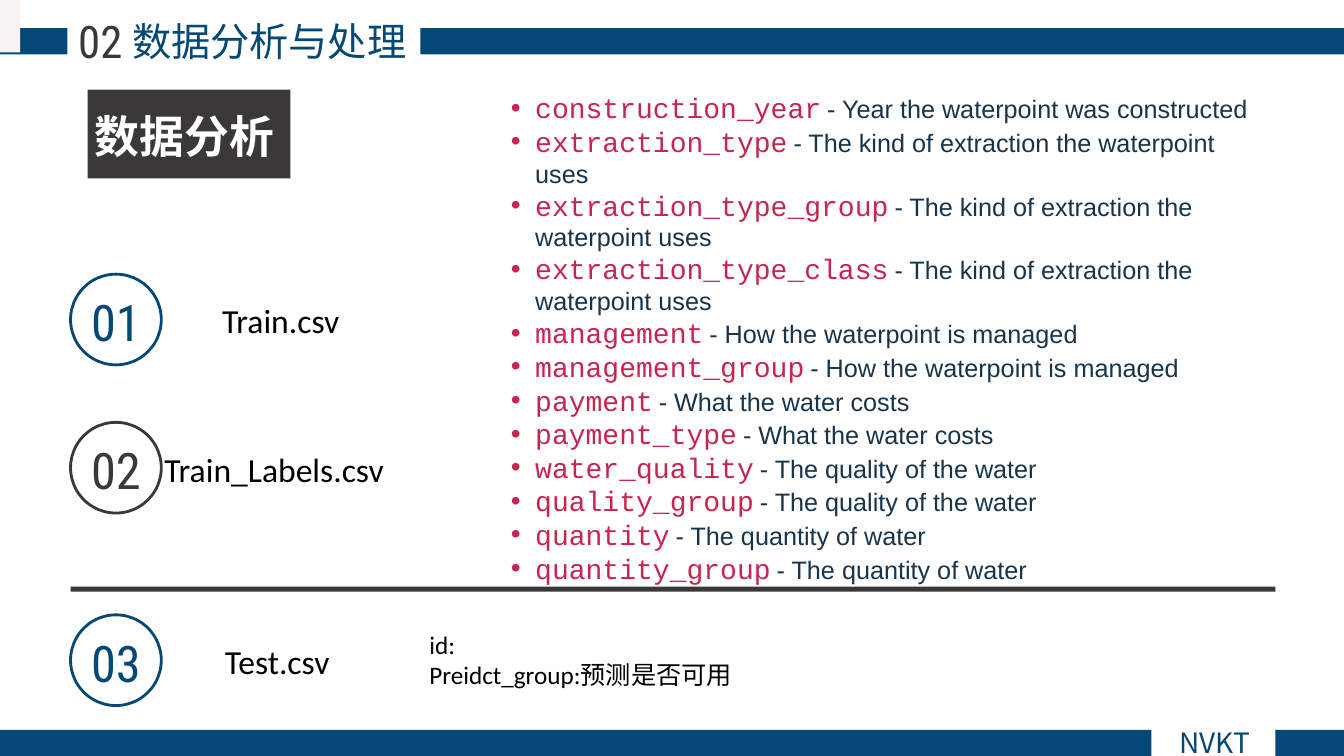
from lxml.etree import SubElement
from pptx import Presentation
from pptx.dml.color import RGBColor
from pptx.enum.shapes import MSO_SHAPE
from pptx.enum.text import PP_ALIGN
from pptx.oxml.ns import qn
from pptx.util import Inches, Pt

COLORS = {"blue": "044875", "gray": "3B3838", "white": "FFFFFF", "black": "000000",
          "pink": "F9F2F4", "code": "C7254E", "navy": "17344A"}
CJK, NUMBER, BODY, CODE, PLAIN = (
    "Noto Sans CJK SC", "Roboto Condensed", "Calibri", "Courier New", "Arial")
WIDTH, HEIGHT = 13.33, 7.5
BAR = 0.26
MARGIN = 0.7
CIRCLE = 0.9

# number, file name, colour, top of circle, left and width of file name
FILES = [
    ("01", "Train.csv", "blue", 2.72, 1.33, 2.91),
    ("02", "Train_Labels.csv", "gray", 4.19, 1.34, 2.76),
    ("03", "Test.csv", "blue", 6.1, 1.33, 2.84),
]
TEST_COLUMNS = ["id:", "Preidct_group:预测是否可用"]
EXTRACTION = "The kind of extraction the waterpoint uses"
MANAGED = "How the waterpoint is managed"
COSTS = "What the water costs"
QUALITY = "The quality of the water"
QUANTITY = "The quantity of water"
FEATURES = [
    ("construction_year", "Year the waterpoint was constructed"),
    ("extraction_type", EXTRACTION),
    ("extraction_type_group", EXTRACTION),
    ("extraction_type_class", EXTRACTION),
    ("management", MANAGED),
    ("management_group", MANAGED),
    ("payment", COSTS),
    ("payment_type", COSTS),
    ("water_quality", QUALITY),
    ("quality_group", QUALITY),
    ("quantity", QUANTITY),
    ("quantity_group", QUANTITY),
]


def rgb(name):
    """Return the named colour."""
    return RGBColor.from_string(COLORS[name])


def style(font, size, face, color, bold=False):
    """Set the look of a paragraph or run font."""
    font.size, font.name, font.bold = Pt(size), face, bold
    font.color.rgb = rgb(color)


def add_block(page, at, fill=None, line=None, preset=MSO_SHAPE.RECTANGLE):
    """Add a shape that is either filled or outlined."""
    block = page.shapes.add_shape(preset, *map(Inches, at))
    block.shadow.inherit = False
    if fill:
        block.fill.solid()
        block.fill.fore_color.rgb = rgb(fill)
    else:
        block.fill.background()
    if line:
        block.line.color.rgb = rgb(line)
        block.line.width = Pt(2)
    else:
        block.line.fill.background()


def add_box(page, at):
    """Add an empty wrapping text box and return its text frame."""
    frame = page.shapes.add_textbox(*map(Inches, at)).text_frame
    frame.word_wrap = True
    return frame


def add_text(page, at, lines, size, face, color, align=PP_ALIGN.CENTER, bold=False):
    """Add a text box with one paragraph per line, all in one style."""
    frame = add_box(page, at)
    frame.text = "\n".join(lines)
    for para in frame.paragraphs:
        para.alignment = align
        style(para.font, size, face, color, bold)
        SubElement(para.font._element, qn("a:ea"), typeface=CJK)


def add_bullet(para, indent):
    """Give a paragraph a hanging round bullet."""
    props = para._p.get_or_add_pPr()
    props.set("marL", str(Inches(indent)))
    props.set("indent", str(-Inches(indent)))
    SubElement(props, qn("a:buFont"), typeface=PLAIN)
    SubElement(props, qn("a:buChar"), char="•")


def add_features(page, at):
    """List each feature name in code style with its description."""
    frame = add_box(page, at)
    for index, (name, meaning) in enumerate(FEATURES):
        para = frame.add_paragraph() if index else frame.paragraphs[0]
        add_bullet(para, 0.24)
        for text, size, face, color in [(name, 20, CODE, "code"),
                                        ("\u00a0", 18, BODY, "navy"),
                                        ("- " + meaning, 18, PLAIN, "navy")]:
            span = para.add_run()
            span.text = text
            style(span.font, size, face, color)


def add_file(page, number, name, color, top, left, width):
    """Add a numbered circle with a file name beside it."""
    add_text(page, (left, top + 0.21, width, 0.5), [name], 24, BODY, "black")
    add_text(page, (0.33, top + 0.12, 1.64, 0.71), [number], 36, NUMBER, color)
    add_block(page, (MARGIN, top, CIRCLE, CIRCLE), line=color, preset=MSO_SHAPE.OVAL)


deck = Presentation()
deck.slide_width, deck.slide_height = Inches(WIDTH), Inches(HEIGHT)
page = deck.slides.add_slide(deck.slide_layouts[6])

# Header and footer: each bar is broken by a gap for its label
for top, gap_start, gap_end in [(0.28, 0.67, 4.17), (HEIGHT - BAR, 11.42, 12.65)]:
    add_block(page, (0, top, gap_start, BAR), "blue")
    add_block(page, (gap_end, top, WIDTH - gap_end, BAR), "blue")
add_text(page, (0.87, 0.12, 3.6, 0.57), ["数据分析与处理"], 28, CJK, "blue")
add_text(page, (0.6, 0.09, 0.79, 0.64), ["02"], 32, NUMBER, "gray")
add_text(page, (11.23, 7.15, 1.64, 0.44), ["NVKT"], 20, CJK, "blue")

add_block(page, (0.87, 0.89, 2.01, 0.88), "gray")
add_text(page, (0.84, 1.03, 2.3, 0.64), ["数据分析"], 32, BODY, "white",
         PP_ALIGN.LEFT, bold=True)

for file in FILES:
    add_file(page, *file)
add_block(page, (MARGIN, 5.82, WIDTH - MARGIN + 0.02 - MARGIN, 0.05), "gray")
add_text(page, (4.16, 6.19, 6.84, 0.71), TEST_COLUMNS, 18, BODY, "black", PP_ALIGN.LEFT)

add_block(page, (0, 0, 0.2, 0.52), "pink")
add_features(page, (4.97, 0.85, 7.77, 4.75))

deck.save("out.pptx")
